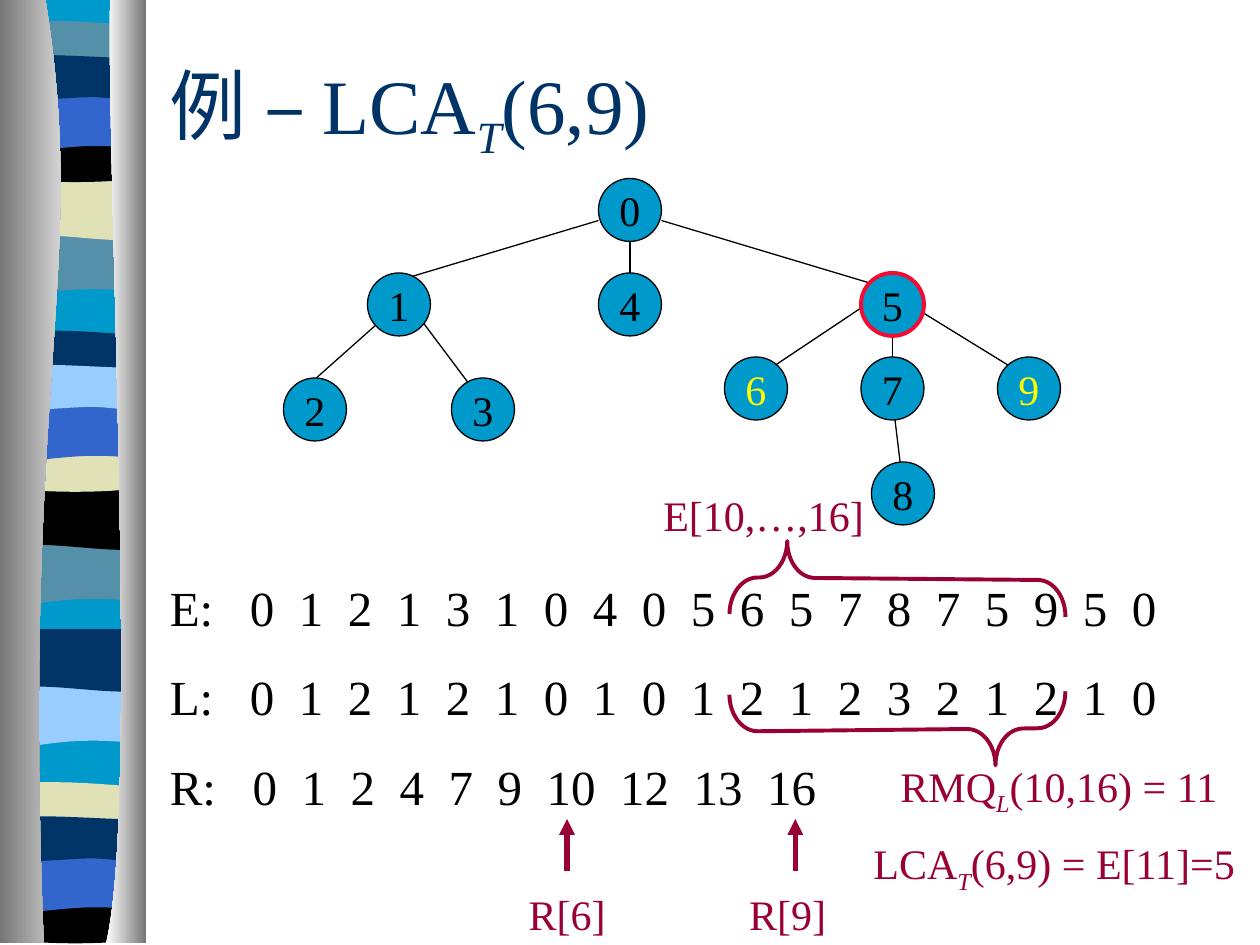
from itertools import accumulate

from lxml import etree
from pptx import Presentation
from pptx.dml.color import RGBColor
from pptx.enum.shapes import MSO_CONNECTOR, MSO_SHAPE
from pptx.enum.text import MSO_ANCHOR, PP_ALIGN
from pptx.oxml.ns import qn
from pptx.util import Pt

STRAIGHT = MSO_CONNECTOR.STRAIGHT
ELLIPSE, BRACE = MSO_SHAPE.OVAL, MSO_SHAPE.LEFT_BRACE
MIDDLE, TOP = MSO_ANCHOR.MIDDLE, MSO_ANCHOR.TOP
LEFT, CENTER = PP_ALIGN.LEFT, PP_ALIGN.CENTER
FONT = "Times New Roman"
BLACK, NAVY, BLUE, YELLOW = "000000", "003366", "0099CC", "FFFF00"
TEAL, SAND, ROYAL, SKY = "5490A8", "E1E1B7", "3366CC", "99CCFF"
WINE, RED, GREY, WHITE = "990033", "F50B32", "767676", "FFFFFF"
NODE_SIZE = 36

STRIPES = [
    [(82, 133), (82, 167), (28, 161, 17, 173, 4, 167), (4, 133)],
    [(82, 101.5), (82, 135.5), (69, 141, 28, 131, 4, 135.5), (4, 101.5)],
    [(82, 15), (82, 32.5), (69, 35.5, 17, 35.5, 4, 32.5), (4, 15),
     (9, 11.5, 21, 12, 34, 12), (47, 12, 72, 14, 82, 15)],
    [(82, 78), (82, 101), (69, 105, 17, 105, 4, 101), (4, 78),
     (52, 81.5, 65.5, 78, 82, 78)],
    [(82, 53), (82, 87), (70, 83.5, 65, 83.5, 52, 83.5),
     (39, 83.5, 16, 87, 4, 87), (4, 53)],
    [(82, 33), (82, 55.5), (77, 59, 65, 55.5, 52, 55.5),
     (39, 55.5, 12, 59, 4, 55.5), (4, 33), (15, 29.5, 57, 33, 70, 33),
     (83, 33, 79, 33, 82, 33)],
]
STRIPE_GROUPS = [
    (0, STRIPES, [TEAL, SAND, TEAL, BLACK, ROYAL, NAVY]),
    (177, STRIPES, [TEAL, BLACK, NAVY, SAND, ROYAL, SKY]),
    (258, STRIPES[:2], [SKY, NAVY]),
    (435, STRIPES[2:], [SAND, BLACK, ROYAL, NAVY]),
]
LEFT_ROLL = [(26, 0), (51, 155.5, 12, 213, 25, 539), (0, 539), (0, 0)]
RIGHT_ROLL = [(63, 0), (60.5, 90, 80, 465, 60.5, 539), (83.5, 539), (83.5, 0)]
NODES = {
    "0": (342, 102), "1": (210, 156), "4": (342, 156), "5": (492, 156),
    "2": (162, 216), "3": (258, 216), "6": (414, 204), "7": (492, 204),
    "9": (570, 204), "8": (498, 264),
}
EDGES = [
    (510, 228, 518, 294), (510, 168, 510, 228), (360, 114, 360, 174),
    (378, 126, 498, 162), (342, 126, 222, 162), (228, 174, 174, 222),
    (234, 174, 270, 222), (504, 168, 432, 216), (510, 168, 588, 216),
]
ROWS = [
    ("E:", 45.7, "0 1 2 1 3 1 0 4 0 5 6 5 7 8 7 5 9 5 0"),
    ("L:", 45.7, "0 1 2 1 2 1 0 1 0 1 2 1 2 3 2 1 2 1 0"),
    ("R:", 47.3, "0 1 2 4 7 9 10 12 13 16"),
]


def color(value):
    """Turn a hex string into a colour."""
    return RGBColor.from_string(value)


def bend(shape, steps):
    """Merge the three segments of each six-number step into one cubic curve."""
    segments = iter(list(shape._element.iter(qn("a:lnTo"))))
    for step in steps[1:]:
        first = next(segments)
        if len(step) == 2:
            continue
        curve = etree.Element(qn("a:cubicBezTo"))
        first.addprevious(curve)
        for segment in (first, next(segments), next(segments)):
            curve.append(segment[0])
            segment.getparent().remove(segment)


def add_outline(page, steps, colors, shift=0):
    """Draw a closed outline with a plain or a left-to-right gradient fill."""
    points = [(Pt(step[i]), Pt(step[i + 1] + shift))
              for step in steps for i in range(0, len(step), 2)]
    builder = page.shapes.build_freeform(*points[0], scale=1.0)
    builder.add_line_segments(points[1:], close=True)
    shape = builder.convert_to_shape()
    bend(shape, steps)
    shape.shadow.inherit = False
    shape.line.fill.background()
    if len(colors) == 1:
        shape.fill.solid()
        shape.fill.fore_color.rgb = color(colors[0])
        return
    shape.fill.gradient()
    shape.fill.gradient_angle = 0
    for stop, value in zip(shape.fill.gradient_stops, colors):
        stop.color.rgb = color(value)


def add_ribbon(page):
    """Draw the striped ribbon between its two grey rolls."""
    add_outline(page, [(4, 0), (82, 0), (82, 538), (4, 538)], [BLUE])
    for shift, stripes, fills in STRIPE_GROUPS:
        for steps, fill in zip(stripes, fills):
            add_outline(page, steps, [fill], shift)
    add_outline(page, LEFT_ROLL, [GREY, WHITE])
    add_outline(page, RIGHT_ROLL, [WHITE, GREY])


def add_line(page, ends, stroke=BLACK, width=0.75, arrow=False):
    """Draw a straight line, with an arrowhead at its start on request."""
    line = page.shapes.add_connector(STRAIGHT, *map(Pt, ends))
    line.line.color.rgb = color(stroke)
    line.line.width = Pt(width)
    if arrow:
        etree.SubElement(line.line._get_or_add_ln(), qn("a:headEnd"), type="triangle")
    etree.SubElement(line._element.spPr, qn("a:effectLst"))


def add_figure(page, kind, frame, stroke, width, fill=None):
    """Draw a preset shape, unfilled unless a fill is given."""
    shape = page.shapes.add_shape(kind, *map(Pt, frame))
    shape.shadow.inherit = False
    shape.line.color.rgb = color(stroke)
    shape.line.width = Pt(width)
    if fill:
        shape.fill.solid()
        shape.fill.fore_color.rgb = color(fill)
    else:
        shape.fill.background()
    return shape


def style_runs(para, size, fill):
    """Set font, size and colour on every run of a paragraph."""
    for span in para.runs:
        span.font.name = FONT
        span.font.size = Pt(size)
        span.font.color.rgb = color(fill)


def add_node(page, name, place):
    """Draw a tree node with its number."""
    shape = add_figure(page, ELLIPSE, (*place, NODE_SIZE, NODE_SIZE), BLACK, 0.75, BLUE)
    frame = shape.text_frame
    frame.word_wrap = False
    frame.vertical_anchor = MIDDLE
    frame.text = name
    frame.paragraphs[0].alignment = CENTER
    style_runs(frame.paragraphs[0], 24, YELLOW if name in "69" else BLACK)


def add_brace(page, frame, rotation, tip):
    """Draw a turned brace with its tip at a share of its length."""
    brace = add_figure(page, BRACE, frame, WINE, 2.25)
    brace.adjustments[0] = 0.38
    brace.adjustments[1] = tip
    brace.rotation = rotation


def add_label(page, frame, parts, size=24, fill=WINE, align=LEFT, anchor=TOP):
    """Write one line whose second part, if any, is an italic subscript."""
    box = page.shapes.add_textbox(*map(Pt, frame))
    box.text_frame.word_wrap = True
    box.text_frame.vertical_anchor = anchor
    para = box.text_frame.paragraphs[0]
    para.alignment = align
    for index, part in enumerate(parts):
        span = para.add_run()
        span.text = part
        if index == 1:
            span.font.italic = True
            span._r.get_or_add_rPr().set("baseline", "-25000")
    style_runs(para, size, fill)


def add_arrays(page):
    """Write the three arrays, with a tab stop for each entry."""
    box = page.shapes.add_textbox(Pt(90), Pt(326.4), Pt(612), Pt(143))
    frame = box.text_frame
    frame.word_wrap = True
    for index, (name, start, entries) in enumerate(ROWS):
        values = entries.split()
        para = frame.add_paragraph() if index else frame.paragraphs[0]
        para.text = "\t".join([name] + values)
        if index:
            para.space_before = Pt(17.5)
        tabs = etree.SubElement(para._p.get_or_add_pPr(), qn("a:tabLst"))
        widths = [14 * len(value) + 14 for value in values[:-1]]
        for stop in accumulate(widths, initial=start):
            etree.SubElement(tabs, qn("a:tab"), pos=str(Pt(stop)), algn="l")
        style_runs(para, 28, BLACK)


def main():
    """Build the slide and save it."""
    deck = Presentation()
    deck.slide_width, deck.slide_height = Pt(720), Pt(540)
    page = deck.slides.add_slide(deck.slide_layouts[6])
    add_ribbon(page)
    add_label(page, (90, 18, 612, 90), ["例 – LCA", "T", "(6,9)"], 44, NAVY, anchor=MIDDLE)
    for ends in EDGES:
        add_line(page, ends)
    for name, place in NODES.items():
        add_node(page, name, place)
    add_arrays(page)
    for name, x, left in (("R[6]", 324, 294), ("R[9]", 454.5, 420)):
        add_line(page, (x, 468, x, 498), WINE, 3, arrow=True)
        add_label(page, (left, 504, 60, 36), [name], align=CENTER)
    add_brace(page, (492, 234.7, 42, 192), 90.5, 0.83)
    add_label(page, (372, 276, 144, 36), ["E[10,…,16]"])
    add_brace(page, (492, 321, 42, 192), 269.4, 0.79)
    add_label(page, (507.5, 430.8, 196, 40), ["RMQ", "L", "(10,16) = 11"])
    add_label(page, (492, 475.2, 228, 40), ["LCA", "T", "(6,9) = E[11]=5"])
    add_figure(page, ELLIPSE, (*NODES["5"], NODE_SIZE, NODE_SIZE), RED, 2.25)
    deck.save("out.pptx")


if __name__ == "__main__":
    main()
